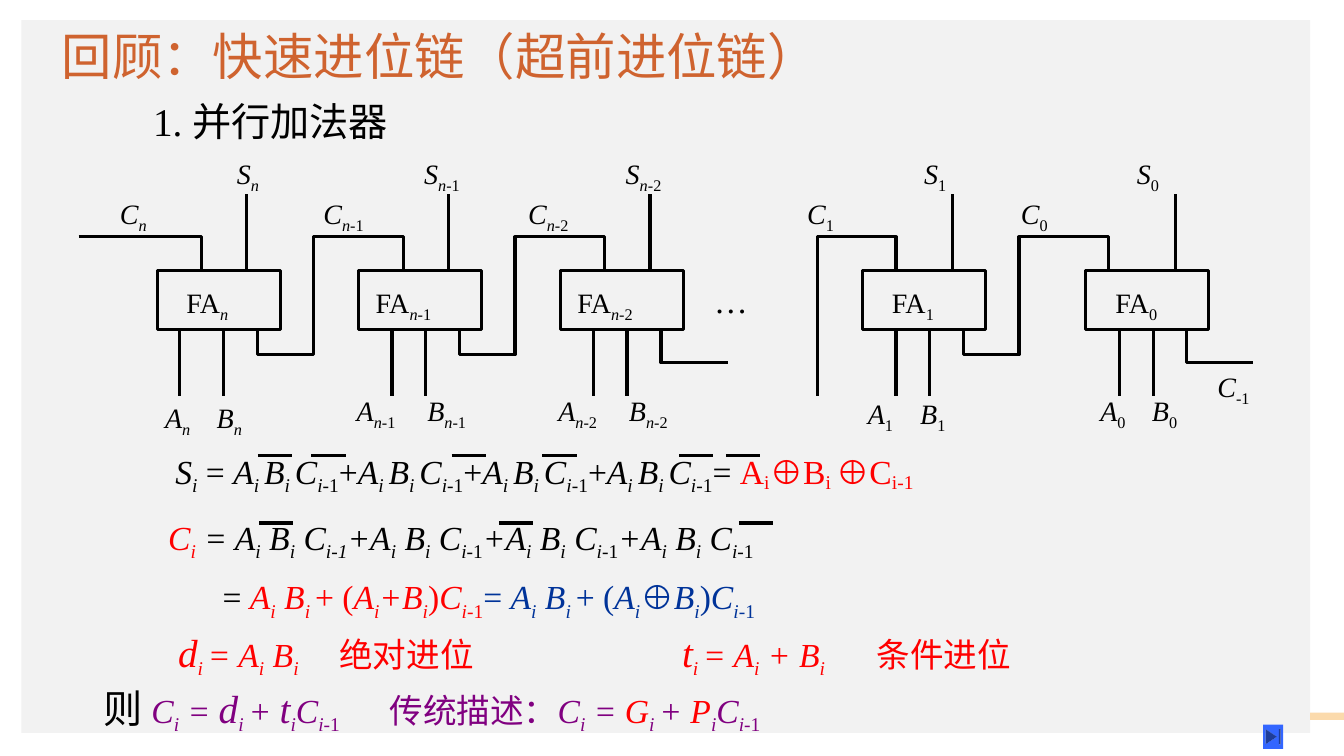
from dataclasses import dataclass

from lxml import etree
from pptx import Presentation
from pptx.dml.color import RGBColor
from pptx.enum.shapes import MSO_CONNECTOR, MSO_SHAPE
from pptx.enum.text import MSO_ANCHOR, MSO_AUTO_SIZE, PP_ALIGN
from pptx.oxml.ns import qn
from pptx.util import Cm, Pt

STRAIGHT = MSO_CONNECTOR.STRAIGHT
RECTANGLE = MSO_SHAPE.RECTANGLE
END_BUTTON = MSO_SHAPE.ACTION_BUTTON_END
TITLE_ONLY = 5


@dataclass(frozen=True)
class Theme:
    black: str = "000000"
    red: str = "FF0000"
    blue: str = "003399"
    purple: str = "800080"
    title: str = "CF632F"
    panel: str = "F2F2F2"
    accent: str = "FBDAAC"
    button: str = "3366FF"
    latin: str = "Times New Roman"
    symbol: str = "Arial"
    chinese: str = "Noto Sans CJK SC"
    title_size: int = 36
    large_size: int = 28
    formula_size: int = 24
    label_size: int = 20
    line_width: float = 2.25


THEME = Theme()


@dataclass(frozen=True)
class Adder:
    """One full adder; horizontal places are in centimetres."""
    index: str
    left: float
    carry_out: float
    inputs: tuple
    name_left: float
    sum_left: float
    carry_left: float
    input_lefts: tuple
    input_top: float


ADDERS = [
    Adder("/n/", 3.96, 5.08, (4.52, 5.64), 4.45, 5.72, 2.77, (3.91, 5.21), 9.96),
    Adder("/n/-1", 9.04, 10.16, (9.88, 10.72), 9.22, 10.44, 7.9, (8.74, 10.52), 9.78),
    Adder("/n/-2", 14.12, 15.24, (14.96, 15.8), 14.3, 15.52, 13.06, (13.82, 15.6), 9.78),
    Adder("1", 21.74, 22.58, (22.58, 23.42), 22.23, 23.04, 20.09, (21.62, 22.94), 9.86),
    Adder("0", 27.36, 27.94, (28.22, 29.06), 27.86, 28.4, 25.48, (27.48, 28.78), 9.78),
]
BOX_TOP, BOX_WIDTH, BOX_HEIGHT = 6.81, 3.1, 1.49
BOX_BOTTOM = BOX_TOP + BOX_HEIGHT
SUM_TOP, CARRY_LEVEL, LOOP_LEVEL, STUB_LEVEL, INPUT_END = 4.9, 5.97, 8.94, 9.14, 9.98
SUM_OFFSET, CARRY_IN_OFFSET, LOOP_OFFSET = 2.26, 2.54, 3.94


def set_chinese_font(shape):
    for properties in shape.element.iter(qn("a:defRPr")):
        etree.SubElement(properties, qn("a:ea"), typeface=THEME.chinese)


def add_block(slide, left, top, width, height, color, kind=RECTANGLE):
    shape = slide.shapes.add_shape(kind, Cm(left), Cm(top), Cm(width), Cm(height))
    shape.shadow.inherit = False
    shape.line.fill.background()
    shape.fill.solid()
    shape.fill.fore_color.rgb = RGBColor.from_string(color)
    return shape


def set_outline(shape):
    shape.line.color.rgb = RGBColor.from_string(THEME.black)
    shape.line.width = Pt(THEME.line_width)


def add_line(slide, x1, y1, x2, y2):
    line = slide.shapes.add_connector(STRAIGHT, Cm(x1), Cm(y1), Cm(x2), Cm(y2))
    set_outline(line)
    etree.SubElement(line.element.spPr, qn("a:effectLst"))


def add_wire(slide, points):
    corners = [(Cm(x), Cm(y)) for x, y in points]
    builder = slide.shapes.build_freeform(*corners[0], scale=1.0)
    builder.add_line_segments(corners[1:], close=False)
    wire = builder.convert_to_shape()
    wire.shadow.inherit = False
    wire.fill.background()
    set_outline(wire)


def split_markup(markup):
    """Marks switch a style: / italic, _ subscript, ~ raised subscript, ^ large."""
    active, text = set(), ""
    for character in markup:
        if character in "/_~^⊕":
            if text:
                yield text, frozenset(active)
            text = ""
            if character == "⊕":
                yield character, frozenset(active | {character})
            else:
                active ^= {character}
        else:
            text += character
    if text:
        yield text, frozenset(active)


def add_formula(slide, left, top, width, segments, size=THEME.formula_size,
                wrap=False, tab=None):
    """Write (colour, markup) segments as one paragraph."""
    box = slide.shapes.add_textbox(Cm(left), Cm(top), Cm(width), Cm(size * 0.054))
    frame = box.text_frame
    frame.word_wrap = wrap
    frame.auto_size = MSO_AUTO_SIZE.SHAPE_TO_FIT_TEXT
    paragraph = frame.paragraphs[0]
    paragraph.font.name = THEME.latin
    set_chinese_font(box)
    if tab:
        properties = paragraph.font._element.getparent()
        stops = etree.Element(qn("a:tabLst"))
        etree.SubElement(stops, qn("a:tab"), pos=str(Cm(tab)), algn="l")
        properties.insert(0, stops)
    for color, markup in segments:
        for text, styles in split_markup(markup):
            run = paragraph.add_run()
            run.text = text
            font = run.font
            font.size = Pt(THEME.large_size if "^" in styles else size)
            font.color.rgb = RGBColor.from_string(color)
            font.italic = "/" in styles
            if "⊕" in styles:
                font.name = THEME.symbol
            for mark, baseline in (("_", "-25000"), ("~", "-15000")):
                if mark in styles:
                    font._element.set("baseline", baseline)


def add_label(slide, left, top, symbol, index):
    width = 1.2 if len(index.replace("/", "")) == 1 else 1.6
    if symbol == "FA":
        width += 0.4
    else:
        symbol = f"/{symbol}/"
    add_formula(slide, left, top, width, [(THEME.black, f"{symbol}_{index}_")], THEME.label_size)


def add_adder(slide, adder):
    box = slide.shapes.add_shape(RECTANGLE, Cm(adder.left), Cm(BOX_TOP),
                                 Cm(BOX_WIDTH), Cm(BOX_HEIGHT))
    box.shadow.inherit = False
    box.fill.background()
    set_outline(box)
    sum_x = adder.left + SUM_OFFSET
    add_line(slide, sum_x, SUM_TOP, sum_x, BOX_TOP)
    for x in adder.inputs:
        add_line(slide, x, BOX_BOTTOM, x, INPUT_END)
    add_label(slide, adder.name_left, 7.06, "FA", adder.index)
    add_label(slide, adder.sum_left, 3.81, "S", adder.index)
    add_label(slide, adder.carry_left, 4.83, "C", adder.index)
    for symbol, left in zip("AB", adder.input_lefts):
        add_label(slide, left, adder.input_top, symbol, adder.index)


def add_carry_wires(slide):
    # Loops between neighbouring adders
    for number in (0, 1, 3):
        left, target = ADDERS[number].left, ADDERS[number + 1].carry_out
        start, rise = left + CARRY_IN_OFFSET, left + LOOP_OFFSET
        add_wire(slide, [(start, BOX_BOTTOM), (start, LOOP_LEVEL), (rise, LOOP_LEVEL),
                         (rise, CARRY_LEVEL), (target, CARRY_LEVEL), (target, BOX_TOP)])
    # Open carry inputs
    for number in (2, 4):
        start = ADDERS[number].left + CARRY_IN_OFFSET
        add_wire(slide, [(start, BOX_BOTTOM), (start, STUB_LEVEL), (start + 1.69, STUB_LEVEL)])
    # Open carry outputs
    first, second = ADDERS[0].carry_out, ADDERS[3].carry_out
    add_wire(slide, [(1.98, CARRY_LEVEL), (first, CARRY_LEVEL), (first, BOX_TOP)])
    add_wire(slide, [(second, BOX_TOP), (second, CARRY_LEVEL), (20.6, CARRY_LEVEL),
                     (20.6, INPUT_END)])


def add_overbars(slide, top, lefts):
    for left in lefts:
        add_line(slide, left, top, left + 0.86, top)


def add_formulas(slide):
    black, red, blue, purple = THEME.black, THEME.red, THEME.blue, THEME.purple
    sum_terms = "+".join(["/A_i _B_i _C_i/-1_"] * 4)
    add_formula(slide, 4.17, 11.23, 20.68, [
        (black, f"/S_i_/ = {sum_terms}= "), (red, "A~i~⊕B~i ~⊕C~i-1~")])
    add_overbars(slide, 11.48, (6.5, 7.85, 11.38, 13.67, 17.12, 18.29))
    carry_terms = "/ = A_i_ B_i_ C_i-1_/" + "/+A_i_ B_i_ C_i-/1_" * 3
    add_formula(slide, 3.99, 12.9, 15.95, [(red, "/C_i_/"), (black, carry_terms)])
    add_overbars(slide, 13.18, (6.53, 12.57, 18.62))
    add_formula(slide, 5.36, 14.4, 14.45, [
        (black, "= "), (red, "/A_i_ B_i _/+ (/A_i_+B_i_/)/C_i-/1_"),
        (blue, "= /A_i_ B_i _/+ (/A_i_⊕B_i_/)/C_i-/1_")])
    add_formula(slide, 4.24, 15.7, 11.86, [(red, "/^d^_i _= A_i_ B_i_/\t绝对进位")],
                wrap=True, tab=4.06)
    add_formula(slide, 16.94, 15.7, 12.98, [(red, "/^t^_i _= A_i_ + B_i_/\t条件进位")],
                wrap=True, tab=4.9)
    add_formula(slide, 2.36, 17.12, 21.64, [
        (black, "^则 ^"), (purple, "/C_i_ = ^d^_i _+ ^t^_i_C_i/-1_\t传统描述：/C_i_ = "),
        (red, "/G"), (purple, "/_i _+ "), (red, "/P"), (purple, "/_i_C_i/-1_")],
        wrap=True, tab=7.21)


def add_title(slide, text):
    title = slide.shapes.title
    title.left, title.top, title.width, title.height = Cm(1.3), Cm(0.51), Cm(20.32), Cm(1.8)
    title.text_frame.text = text
    title.text_frame.vertical_anchor = MSO_ANCHOR.TOP
    title.text_frame.auto_size = MSO_AUTO_SIZE.NONE
    paragraph = title.text_frame.paragraphs[0]
    paragraph.alignment = PP_ALIGN.LEFT
    paragraph.font.name = THEME.chinese
    paragraph.font.size = Pt(THEME.title_size)
    paragraph.font.color.rgb = RGBColor.from_string(THEME.title)
    set_chinese_font(title)


def main():
    presentation = Presentation()
    presentation.slide_width, presentation.slide_height = Cm(33.87), Cm(19.05)
    slide = presentation.slides.add_slide(presentation.slide_layouts[TITLE_ONLY])
    # Background panel behind the title
    panel = add_block(slide, 0.54, 0.51, 32.48, 17.96, THEME.panel)
    slide.shapes.title.element.addprevious(panel.element)
    add_block(slide, 33.02, 17.96, 0.85, 0.18, THEME.accent)
    # Headings
    add_title(slide, "回顾：快速进位链（超前进位链）")
    add_formula(slide, 3.61, 2.34, 6.76, [(THEME.black, "1. 并行加法器")], THEME.large_size)
    # Adder chain
    for adder in ADDERS:
        add_adder(slide, adder)
    add_carry_wires(slide)
    add_label(slide, 30.43, 9.19, "C", "-1")
    add_formula(slide, 17.75, 6.93, 1.35, [(THEME.black, "…")])
    # Formulas and navigation
    add_formulas(slide)
    add_block(slide, 31.83, 18.26, 0.51, 0.61, THEME.button, END_BUTTON)
    presentation.save("out.pptx")


if __name__ == "__main__":
    main()
